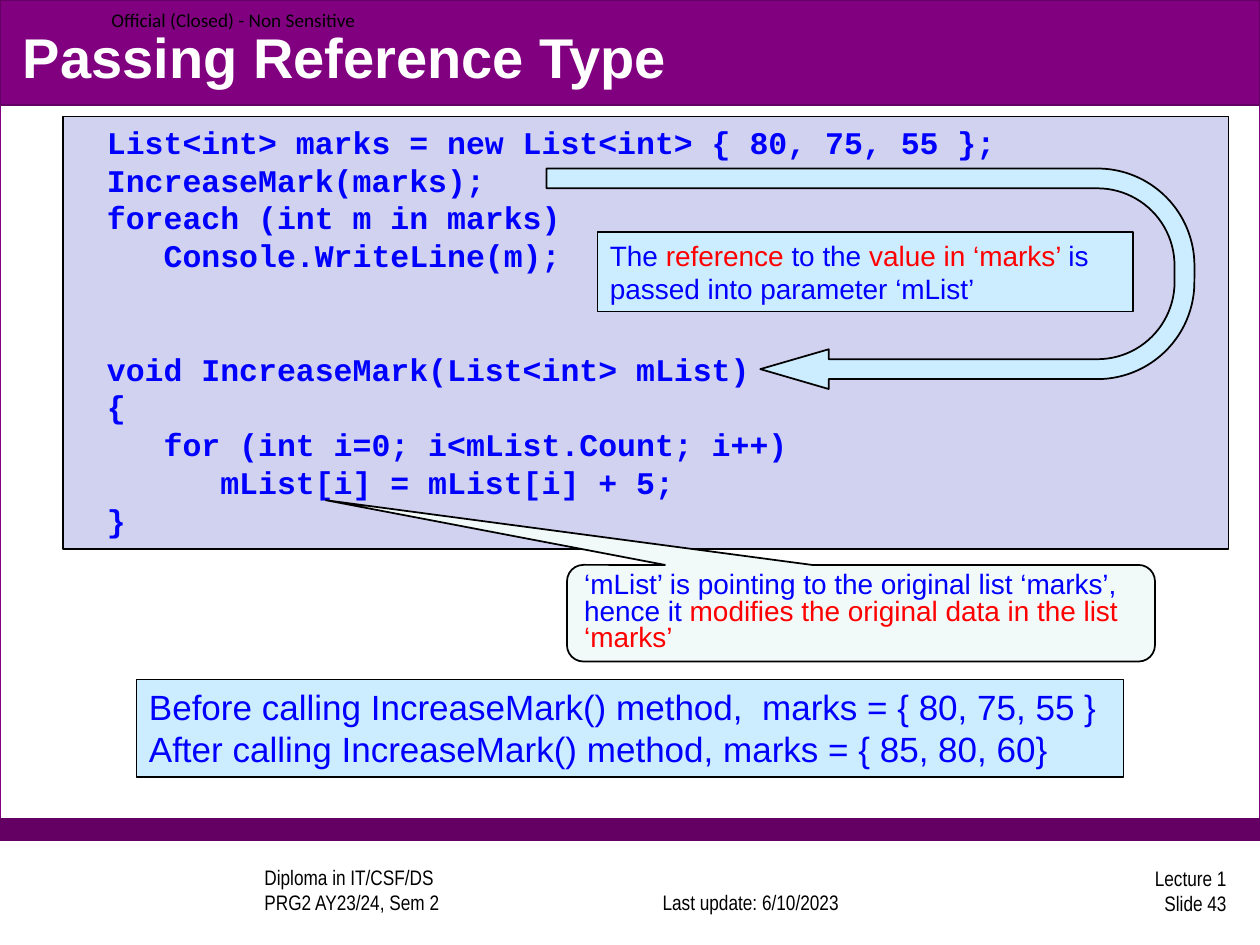
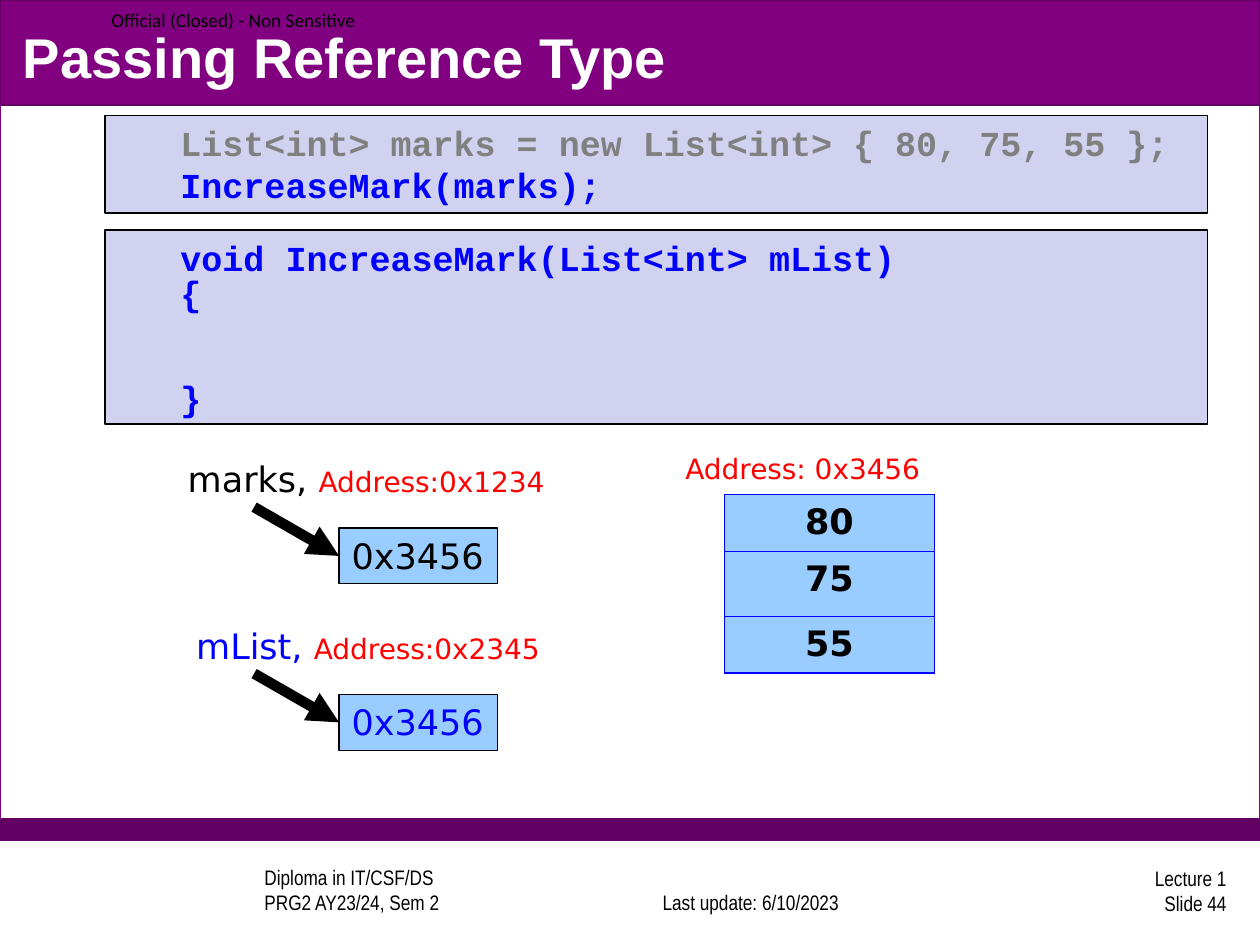
from lxml import etree
from pptx import Presentation
from pptx.dml.color import RGBColor
from pptx.enum.shapes import MSO_CONNECTOR, MSO_SHAPE
from pptx.enum.text import MSO_ANCHOR, PP_ALIGN
from pptx.oxml.ns import qn
from pptx.util import Inches, Pt

RECT = MSO_SHAPE.RECTANGLE
CALLOUT = MSO_SHAPE.ROUNDED_RECTANGULAR_CALLOUT
UTURN = MSO_SHAPE.U_TURN_ARROW
LINE = MSO_CONNECTOR.STRAIGHT
LEFT, MID, RIGHT = PP_ALIGN.LEFT, PP_ALIGN.CENTER, PP_ALIGN.RIGHT
TOP, CENTER, LOW = MSO_ANCHOR.TOP, MSO_ANCHOR.MIDDLE, MSO_ANCHOR.BOTTOM

WHITE = RGBColor(0xFF, 0xFF, 0xFF)
BLACK = RGBColor(0, 0, 0)
GREY = RGBColor(0x80, 0x80, 0x80)
PURPLE = RGBColor(0x80, 0, 0x80)
PLUM = RGBColor(0x64, 0, 0x64)
BLUE = RGBColor(0, 0, 0xFF)
RED = RGBColor(0xFF, 0, 0)
LILAC = RGBColor(0xD1, 0xD1, 0xF0)
ICE = RGBColor(0xCC, 0xEC, 0xFF)
MINT = RGBColor(0xF1, 0xF9, 0xF9)
SKY = RGBColor(0x99, 0xCC, 0xFF)

WIDE, HIGH = 10, 7.5
COLS, ROWS = 120, 90
UNIT = WIDE / COLS

TITLE = "Passing Reference Type"
LABEL = "Official (Closed) - Non Sensitive"
BANDS = [
    ((0, 0, COLS, 80), WHITE, PURPLE),
    ((0, 78, COLS, 2), PLUM, PLUM),
    ((0, 0, COLS, 10), PURPLE, PLUM),
]
COURSE = ["Diploma in IT/CSF/DS", "PRG2 AY23/24, Sem 2"]
UPDATE = "Last update: 6/10/2023"
LECTURE = "Lecture 1"
FIRST = 43

CODE = [
    {"runs": "List<int> marks = new List<int> { 80, 75, 55 };"},
    {"runs": "IncreaseMark(marks);"},
    {"runs": "foreach (int m in marks)"},
    {"runs": "Console.WriteLine(m);", "step": 1},
    {"runs": "void IncreaseMark(List<int> mList)", "skip": 2},
    {"runs": "{"},
    {"runs": "for (int i=0; i<mList.Count; i++)", "step": 1},
    {"runs": "mList[i] = mList[i] + 5;", "step": 2},
    {"runs": "}"},
]
RESULT = [
    "Before calling IncreaseMark() method,  marks = { 80, 75, 55 }",
    "After calling IncreaseMark() method, marks = { 85, 80, 60}",
]
EFFECT = [[
    ("‘mList’ is pointing to the original list ‘marks’, hence it ", {}),
    ("modifies the original data in the list ‘marks’", {"color": RED}),
]]
PASSED = [[
    ("The ", {}),
    ("reference", {"color": RED}),
    (" to the ", {}),
    ("value in ‘marks’ ", {"color": RED}),
    ("is passed into parameter ‘mList’", {}),
]]
CALL = [
    [("List<int> marks = new List<int> { 80, 75, 55 };", {"color": GREY})],
    "IncreaseMark(marks);",
]
METHOD = [
    {"runs": "void IncreaseMark(List<int> mList)", "lead": 1.2},
    {"runs": "{"},
    {"runs": "}", "skip": 2},
]
VARS = [
    ("marks, ", "Address:0x1234", BLACK, 16.7, 37.4),
    ("mList, ", "Address:0x2345", BLUE, 17.5, 36.1),
]
TARGET = "0x3456"
VALUES = [("80", 5.4), ("75", 6.2), ("55", 5.4)]


def size(n):
    return Inches(n * UNIT)


def text(frame, paras, pts=20, font="Arial", color=BLACK, bold=False,
         align=LEFT, anchor=TOP, indent=0, lead=1.2, wrap=True, inset=None):
    frame.word_wrap = wrap
    frame.vertical_anchor = anchor
    if inset is not None:
        frame.margin_left = frame.margin_right = inset
        frame.margin_top = frame.margin_bottom = inset
    for i, item in enumerate(paras):
        part = item if isinstance(item, dict) else {"runs": item}
        para = frame.paragraphs[0] if i == 0 else frame.add_paragraph()
        space = pts * part.get("lead", lead)
        para.alignment = align
        para.line_spacing = Pt(space)
        para.space_before = Pt(space * part.get("skip", 0))
        props = para._p.get_or_add_pPr()
        tab = 3 * 0.6 * pts / 72
        left = Inches(indent * UNIT + tab * part.get("step", 0))
        props.set("marL", str(int(left)))
        props.set("indent", "0")
        runs = part["runs"]
        for words, fmt in [(runs, {})] if isinstance(runs, str) else runs:
            run = para.add_run()
            run.text = words
            run.font.name = font
            run.font.bold = bold
            run.font.size = Pt(fmt.get("pts", pts))
            run.font.color.rgb = fmt.get("color", color)


def label(slide, box, paras, **fmt):
    item = slide.shapes.add_textbox(*map(size, box))
    text(item.text_frame, paras, **fmt)


def block(slide, box, fill, paras=(), kind=RECT, line=BLACK, edge=0.75,
          adj=(), turn=0, **fmt):
    item = slide.shapes.add_shape(kind, *map(size, box))
    item.shadow.inherit = False
    item.fill.solid()
    item.fill.fore_color.rgb = fill
    item.line.color.rgb = line
    item.line.width = Pt(edge)
    item.rotation = turn
    for i, value in enumerate(adj):
        item.adjustments[i] = value
    if paras:
        text(item.text_frame, paras, **fmt)
    return item


def arrow(slide, start, box):
    x, y = map(size, start)
    line = slide.shapes.add_connector(LINE, x, y, box.left, box.top)
    line.end_connect(box, 1)
    line.line.color.rgb = BLACK
    line.line.width = Pt(6)
    stroke = line.line._get_or_add_ln()
    etree.SubElement(stroke, qn("a:tailEnd"), type="triangle")
    etree.SubElement(line._element.spPr, qn("a:effectLst"))


def border(cell):
    props = cell._tc.get_or_add_tcPr()
    for i, side in enumerate(("lnL", "lnR", "lnT", "lnB")):
        line = etree.Element(qn("a:" + side), w=str(int(Pt(1))))
        fill = etree.SubElement(line, qn("a:solidFill"))
        etree.SubElement(fill, qn("a:srgbClr"), val=str(BLUE))
        props.insert(i, line)


def stack(slide, x, y, wide):
    high = sum(h for _, h in VALUES)
    table = slide.shapes.add_table(
        len(VALUES), 1, *map(size, (x, y, wide, high))).table
    table.first_row = table.horz_banding = False
    for i, (value, h) in enumerate(VALUES):
        table.rows[i].height = size(h)
        cell = table.cell(i, 0)
        cell.fill.solid()
        cell.fill.fore_color.rgb = SKY
        text(cell.text_frame, [value], font="DejaVu Sans", bold=True,
             align=MID)
        border(cell)


def base(deck, num):
    slide = deck.slides.add_slide(deck.slide_layouts[6])
    for box, fill, line in BANDS:
        block(slide, box, fill, line=line)
    foot = {"pts": 12, "font": "Arial Narrow"}
    label(slide, (18, 82.7, 38, 5), COURSE, anchor=LOW, indent=6, **foot)
    label(slide, (59, 82.7, 25, 5), [UPDATE], anchor=LOW, align=MID, **foot)
    label(slide, (93, 82.3, 25, 5), [LECTURE, f"Slide {num}"],
          anchor=CENTER, align=RIGHT, **foot)
    label(slide, (10.6, 0, 25.5, 3.7), [LABEL], pts=11, font="Calibri",
          anchor=CENTER, wrap=False, inset=0)
    label(slide, (1, 1.6, 118, 7.4), [TITLE], pts=32, color=WHITE,
          bold=True, anchor=CENTER)
    return slide


def passing(deck):
    slide = base(deck, FIRST)
    block(slide, (6, 11.1, 111, 41.2), LILAC, CODE, pts=18,
          font="Courier New", color=BLUE, bold=True, indent=3)
    block(slide, (13, 64.7, 94, 9.3), ICE, RESULT, color=BLUE)
    block(slide, (54, 53.8, 56, 9.2), MINT, EFFECT, kind=CALLOUT, edge=1,
          adj=(-0.91, -1.17, 0.17), pts=16, color=BLUE, anchor=CENTER,
          lead=0.96)
    block(slide, (72.4, -4.3, 21, 61.7), ICE, kind=UTURN, edge=1, turn=90,
          adj=(0.09, 0.09, 0.31, 0.44, 0.67))
    block(slide, (56.9, 22.1, 51, 7.6), ICE, PASSED, pts=16, color=BLUE)


def memory(deck):
    slide = base(deck, FIRST + 1)
    code = {"font": "Courier New", "color": BLUE, "bold": True, "indent": 6}
    block(slide, (10, 11, 105, 9.3), LILAC, CALL, **code)
    block(slide, (10, 21.9, 105, 18.5), LILAC, METHOD, lead=1, **code)
    plain = {"font": "DejaVu Sans", "wrap": False}
    for i, (name, place, color, x, wide) in enumerate(VARS):
        y = 43 + 15.85 * i
        words = [(name, {}), (place, {"pts": 16, "color": RED})]
        label(slide, (x, y, wide, 5.3), [words], color=color, **plain)
        box = block(slide, (32.3, y + 7.3, 15.1, 5.3), SKY, [TARGET],
                    color=color, **plain)
        arrow(slide, (24.2, y + 5.3), box)
    label(slide, (64.1, 42.4, 25.4, 4.4), ["Address: " + TARGET], pts=16,
          color=RED, **plain)
    stack(slide, 69, 47.1, 20)


def main():
    deck = Presentation()
    deck.slide_width = size(COLS)
    deck.slide_height = Inches(HIGH * ROWS / 90)
    passing(deck)
    memory(deck)
    deck.save("out.pptx")


if __name__ == "__main__":
    main()
